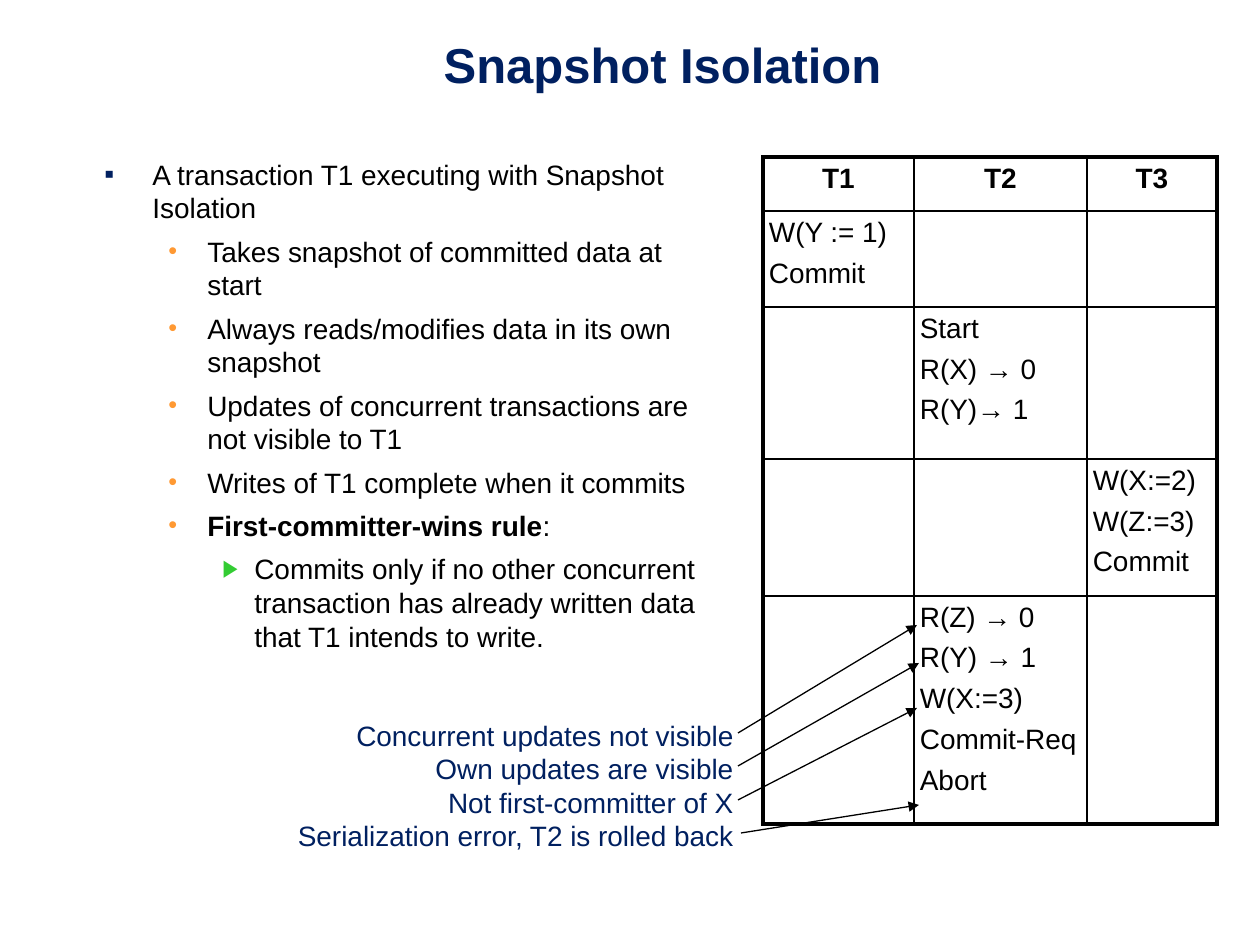
from lxml.etree import SubElement
from pptx import Presentation
from pptx.dml.color import RGBColor
from pptx.enum.shapes import MSO_CONNECTOR
from pptx.enum.text import MSO_ANCHOR, PP_ALIGN
from pptx.oxml.ns import qn
from pptx.util import Pt

SCALE = 914400 / 126
NAVY, BLACK = "002060", "000000"


def emu(px):
    return round(px * SCALE)


def color(code):
    return RGBColor.from_string(code)


def add(parent, tag, **attrs):
    return SubElement(parent, qn(tag), {k: str(v) for k, v in attrs.items()})


class Board:
    """The slide being drawn and the style its parts share."""
    font = "Arial"
    size = 16
    gap = 5.6
    inset = 6
    thick, thin = 2.25, 1
    # Per level: text indent, hanging indent, mark, mark colour, mark size in %
    marks = [
        (48, 48, "▪", NAVY, 100),
        (103, 39, "•", "FF9933", 90),
        (150, 32, "▶", "33CC33", 85),
    ]

    def __init__(self, slide):
        self.slide = slide
        self.shapes = slide.shapes

    def run(self, para, text, ink=BLACK, bold=False, size=None):
        run = para.add_run()
        run.text = text
        font = run.font
        font.name, font.size, font.bold = self.font, Pt(size or self.size), bold
        font.color.rgb = color(ink)

    def paras(self, frame, count):
        """Yield that many paragraphs, the first being the one already there."""
        for i in range(count):
            yield frame.add_paragraph() if i else frame.paragraphs[0]

    def box(self, *place, wrap=True):
        frame = self.shapes.add_textbox(*map(emu, place)).text_frame
        frame.word_wrap = wrap
        return frame

    def title(self, text, *place):
        frame = self.box(*place)
        frame.vertical_anchor = MSO_ANCHOR.BOTTOM
        para = frame.paragraphs[0]
        para.alignment = PP_ALIGN.CENTER
        self.run(para, text, NAVY, True, 28)

    def notes(self, lines, *place):
        frame = self.box(*place, wrap=False)
        for para, line in zip(self.paras(frame, len(lines)), lines):
            para.alignment = PP_ALIGN.RIGHT
            self.run(para, line, NAVY)

    def bullets(self, items, *place):
        """Each item is a level and its runs, given as text and bold."""
        frame = self.box(*place)
        for i, para in enumerate(self.paras(frame, len(items))):
            level, runs = items[i]
            left, hang, mark, ink, size = self.marks[level]
            para.level = level
            if i:
                para.space_before = Pt(self.gap)
            props = para._p.get_or_add_pPr()
            props.set("marL", str(emu(left)))
            props.set("indent", str(-emu(hang)))
            add(add(props, "a:buClr"), "a:srgbClr", val=ink)
            add(props, "a:buSzPct", val=size * 1000)
            add(props, "a:buFont", typeface=self.font)
            add(props, "a:buChar", char=mark)
            for text, bold in runs:
                self.run(para, text, bold=bold)

    def border(self, cell, outer):
        """Rule all four sides, thick where the side is on the outside."""
        props = cell._tc.get_or_add_tcPr()
        for i, side in enumerate("LRTB"):
            width = self.thick if side in outer else self.thin
            line = add(props, f"a:ln{side}", w=Pt(width))
            add(add(line, "a:solidFill"), "a:srgbClr", val=BLACK)
            props.remove(line)
            props.insert(i, line)

    def table(self, rows, widths, heights, left, top):
        grid = self.shapes.add_table(
            len(rows), len(widths), emu(left), emu(top),
            emu(sum(widths)), emu(sum(heights))).table
        grid.first_row = grid.horz_banding = False
        for col, width in zip(grid.columns, widths):
            col.width = emu(width)
        for r, row in enumerate(rows):
            grid.rows[r].height = emu(heights[r])
            for c, lines in enumerate(row):
                cell = grid.cell(r, c)
                cell.fill.background()
                cell.margin_left = cell.margin_right = emu(self.inset)
                cell.margin_top = cell.margin_bottom = emu(self.inset)
                edges = {"L": c == 0, "R": c == len(widths) - 1,
                         "T": r == 0, "B": r == len(rows) - 1}
                self.border(cell, [side for side in edges if edges[side]])
                self.fill(cell.text_frame, lines, head=r == 0)

    def fill(self, frame, lines, head):
        for i, para in enumerate(self.paras(frame, len(lines))):
            if i:
                para.space_before = Pt(self.gap)
            if head:
                para.alignment = PP_ALIGN.CENTER
            self.run(para, lines[i], bold=head)

    def arrow(self, *ends):
        line = self.shapes.add_connector(MSO_CONNECTOR.STRAIGHT, *map(emu, ends))
        line.line.color.rgb = color(BLACK)
        line.line.width = Pt(0.75)
        add(line.line._get_or_add_ln(), "a:tailEnd", type="triangle")
        add(line._element.spPr, "a:effectLst")


def main():
    deck = Presentation()
    deck.slide_width, deck.slide_height = emu(1260), emu(945)
    board = Board(deck.slides.add_slide(deck.slide_layouts[6]))

    board.title("Snapshot Isolation", 106, 16, 1113, 84)
    board.bullets([
        (0, [("A transaction T1 executing with Snapshot Isolation", False)]),
        (1, [("Takes snapshot of committed data at start", False)]),
        (1, [("Always reads/modifies data in its own snapshot", False)]),
        (1, [("Updates of concurrent transactions are not visible to T1", False)]),
        (1, [("Writes of T1 complete when it commits", False)]),
        (1, [("First-committer-wins rule", True), (":", False)]),
        (2, [("Commits only if no other concurrent transaction has already "
              "written data that T1 intends to write.", False)]),
    ], 92, 151, 630, 730)
    board.table([
        [["T1"], ["T2"], ["T3"]],
        [["W(Y := 1)", "Commit"], [], []],
        [[], ["Start", "R(X) → 0", "R(Y)→ 1"], []],
        [[], [], ["W(X:=2)", "W(Z:=3)", "Commit"]],
        [[], ["R(Z) → 0", "R(Y) → 1", "W(X:=3)", "Commit-Req", "Abort"], []],
    ], [151, 173, 130], [54, 96, 152, 137, 228], 763, 157)
    board.notes([
        "Concurrent updates not visible",
        "Own updates are visible",
        "Not first-committer of X",
        "Serialization error, T2 is rolled back",
    ], 282, 712, 464, 147)
    for ends in [(738, 733, 917, 625), (738, 766, 919, 663),
                 (738, 800, 917, 708), (741, 833, 919, 805)]:
        board.arrow(*ends)

    deck.save("out.pptx")


if __name__ == "__main__":
    main()
